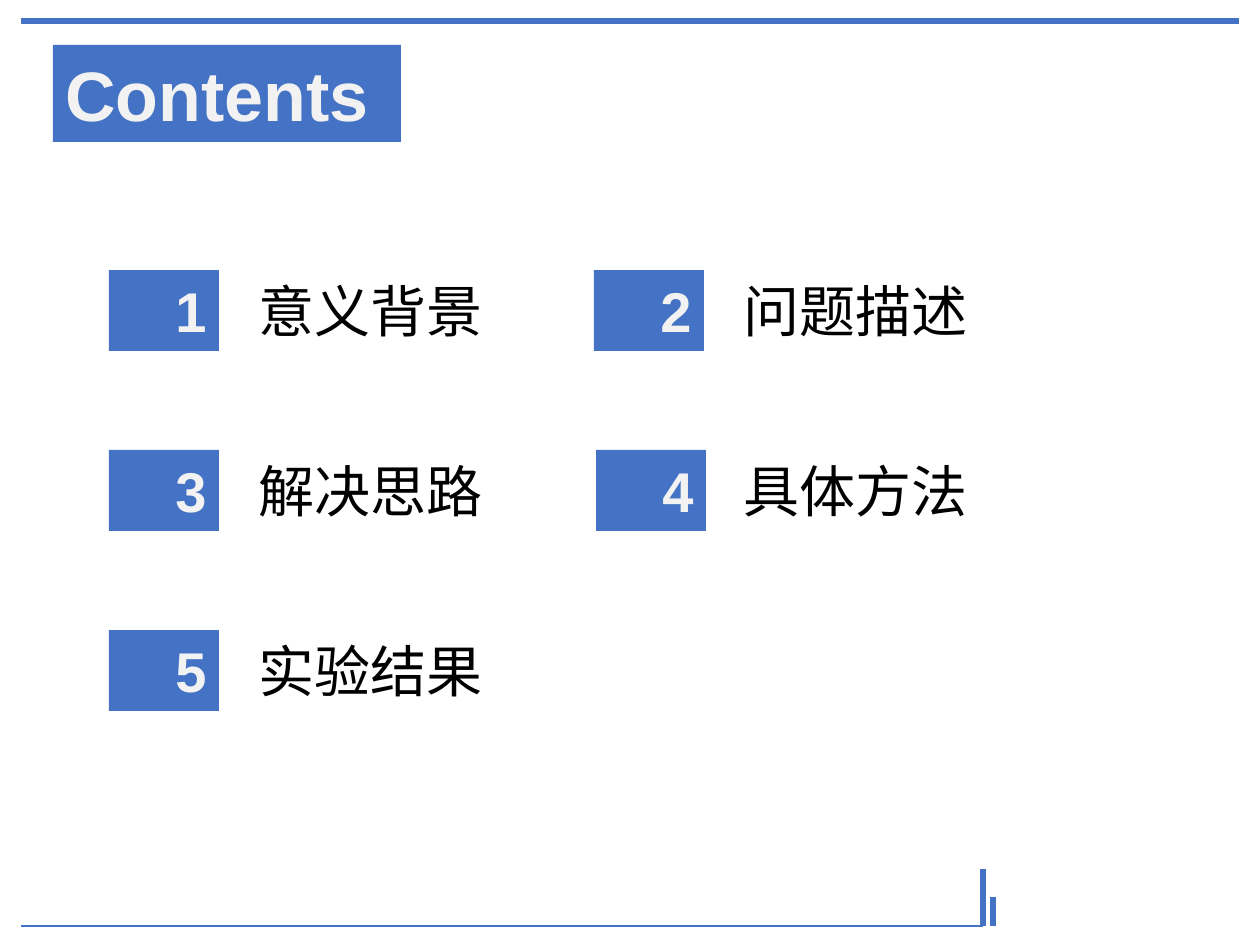
from lxml.etree import SubElement
from pptx import Presentation
from pptx.dml.color import RGBColor
from pptx.enum.shapes import MSO_CONNECTOR, MSO_SHAPE
from pptx.enum.text import MSO_ANCHOR, MSO_AUTO_SIZE, PP_ALIGN
from pptx.oxml.ns import qn
from pptx.util import Inches, Pt

PX = Inches(1) / 126
BLUE, PALE, BLACK = "4472C4", "F2F2F2", "000000"


def color(value):
    return RGBColor.from_string(value)


def add_label(text, box, size, ink, font, fill=None, align=PP_ALIGN.LEFT):
    left, top, width, height = [round(v * PX) for v in box]
    if fill:
        label = slide.shapes.add_shape(MSO_SHAPE.RECTANGLE, left, top, width, height)
        label.shadow.inherit = False
        label.fill.solid()
        label.fill.fore_color.rgb = color(fill)
        label.line.fill.background()
    else:
        label = slide.shapes.add_textbox(left, top, width, height)
    frame = label.text_frame
    frame.word_wrap = True
    frame.auto_size = MSO_AUTO_SIZE.SHAPE_TO_FIT_TEXT
    frame.vertical_anchor = MSO_ANCHOR.TOP
    frame.text = text
    paragraph = frame.paragraphs[0]
    paragraph.alignment = align
    paragraph.font.size = Pt(size)
    paragraph.font.name = font
    paragraph.font.bold = fill is not None
    paragraph.font.color.rgb = color(ink)
    # East Asian characters take their own typeface
    SubElement(paragraph.font._element, qn("a:ea"), typeface=font)


deck = Presentation()
deck.slide_width, deck.slide_height = Inches(10), Inches(7.5)
slide = deck.slides.add_slide(deck.slide_layouts[6])

# Frame: top rule, bottom rule and the two corner ticks
rules = [
    (21, 21, 1239, 21, 3),
    (21, 926, 983, 926, 1),
    (983, 869, 983, 926, 3),
    (993, 897, 993, 926, 3),
]
for *ends, weight in rules:
    rule = slide.shapes.add_connector(MSO_CONNECTOR.STRAIGHT, *[round(v * PX) for v in ends])
    rule.line.color.rgb = color(BLUE)
    rule.line.width = Pt(weight)
    SubElement(rule._element.spPr, qn("a:effectLst"))

# Heading
add_label("Contents", (53, 45, 348, 97), 40, PALE, "Arial", BLUE)

# Numbered topics, two to a row
topics = ["意义背景", "问题描述", "解决思路", "具体方法", "实验结果"]
for index, topic in enumerate(topics):
    row, column = divmod(index, 2)
    top = 270 + row * 180
    number_left = 109 + column * (485 + 2 * row)
    topic_left = 246 + column * 485
    add_label(str(index + 1), (number_left, top, 110, 81), 32, PALE, "Arial", BLUE, PP_ALIGN.RIGHT)
    add_label(topic, (topic_left, top, 321, 81), 32, BLACK, "Noto Sans CJK SC")

deck.save("out.pptx")
